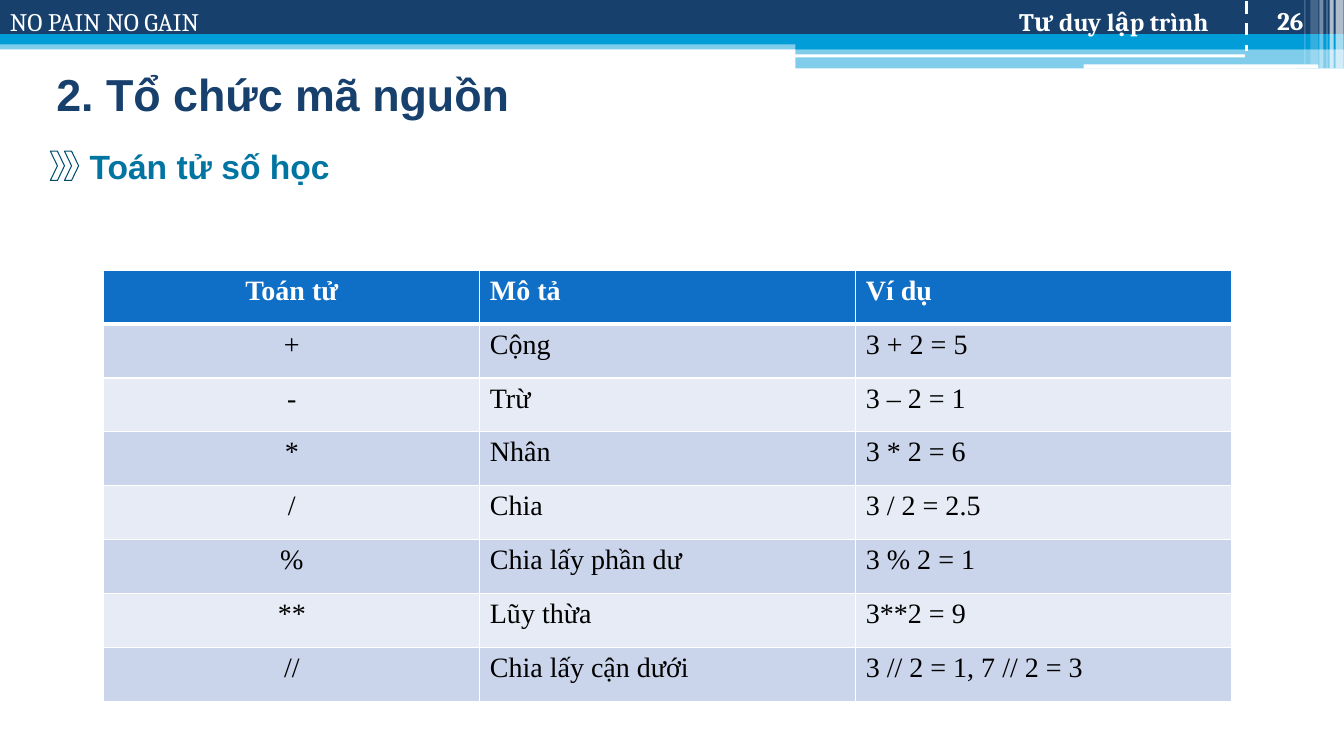
import dataclasses

import lxml.etree
import pptx
import pptx.dml.color
import pptx.enum.dml
import pptx.enum.shapes
import pptx.enum.text
import pptx.oxml.ns
import pptx.util

SHAPE = pptx.enum.shapes.MSO_SHAPE
ANCHOR = pptx.enum.text.MSO_ANCHOR
ALIGN = pptx.enum.text.PP_ALIGN
GRID = pptx.util.Inches(0.1)
COLS, ROWS = 133.33, 75


@dataclasses.dataclass(frozen=True)
class Theme:
    """Colours, fonts and type sizes of the slide."""
    navy: str = "17406D"
    cyan: str = "009DD9"
    white: str = "FFFFFF"
    black: str = "000000"
    teal: str = "0075A2"
    outline: str = "004E6C"
    head: str = "0F6FC6"
    bands: tuple = ("CAD4EA", "E6EBF5")
    header_font: str = "Cambria"
    title_font: str = "Arial"
    table_font: str = "Times New Roman"
    header_size: int = 18
    title_size: int = 32
    sub_size: int = 24
    table_size: int = 20


T = Theme()


@dataclasses.dataclass(frozen=True)
class Box:
    """An area measured in grid columns and rows."""
    x: float
    y: float
    w: float
    h: float

    def inner(self, x, y, w, h):
        """Return a box placed relative to this one."""
        return Box(self.x + x, self.y + y, w, h)

    def emu(self):
        """Return left, top, width and height in slide units."""
        return [int(v * GRID) for v in (self.x, self.y, self.w, self.h)]


def rgb(color):
    """Return a colour object for a hex string."""
    return pptx.dml.color.RGBColor.from_string(color)


def child(parent, tag, **attrs):
    """Append a drawing element and return it."""
    return lxml.etree.SubElement(parent, pptx.oxml.ns.qn(tag), attrs)


def write(tf, text, color, align=ALIGN.LEFT, **fmt):
    """Write one formatted line into a text frame."""
    p = tf.paragraphs[0]
    p.alignment = align
    r = p.add_run()
    r.text = text
    r.font.color.rgb = rgb(color)
    for name, value in fmt.items():
        setattr(r.font, name, value)


def label(s, box, text, color, frame=None, **fmt):
    """Add a wrapped text box with one line."""
    tf = s.shapes.add_textbox(*box.emu()).text_frame
    for name, value in {"word_wrap": True, **(frame or {})}.items():
        setattr(tf, name, value)
    write(tf, text, color, **fmt)


def block(s, box, fill=None, alpha=100, line=None, kind=SHAPE.RECTANGLE):
    """Add a flat preset shape."""
    sp = s.shapes.add_shape(kind, *box.emu())
    sp.shadow.inherit = False
    if fill:
        sp.fill.solid()
        sp.fill.fore_color.rgb = rgb(fill)
        if alpha < 100:
            clr = sp._element.spPr.find(".//" + pptx.oxml.ns.qn("a:srgbClr"))
            child(clr, "a:alpha", val=str(alpha * 1000))
    else:
        sp.fill.background()
    if line:
        sp.line.color.rgb = rgb(line)
        sp.line.width = pptx.util.Pt(0.75)
    else:
        sp.line.fill.background()


def header(s, box):
    """Draw the banner with its stripes, captions and page number."""
    right = box.w - 78.9
    for x, y, w, h, fill, alpha in (
            (0, 4, box.w, 0.9, T.cyan, 50), (0, 0, box.w, 3.4, T.navy, 100),
            (0, 3.4, box.w, 1, T.cyan, 100), (78.9, 3.9, right, 1, T.cyan, 100),
            (78.9, 4.8, right, 2, T.cyan, 50)):
        block(s, box.inner(x, y, w, h), fill, alpha)
    for x, y, w, h in ((78.8, 5.4, 44.7, 0.3), (107.5, 6.4, 23.3, 0.4)):
        block(s, box.inner(x, y, w, h), T.white, kind=SHAPE.ROUNDED_RECTANGLE)
    for x, w, h, alpha in ((132.5, 0.8, 6.8, 65), (131.9, 0.4, 6.8, 65),
                           (131.6, 0.1, 6.8, 60), (130.9, 0.4, 6.8, 40),
                           (130, 0.8, 6.4, 20), (129.4, 0.1, 6.4, 30)):
        block(s, box.inner(x, 0, w, h), T.white, alpha)
    fmt = {"name": T.header_font, "size": pptx.util.Pt(T.header_size)}
    bold = {**fmt, "bold": True, "align": ALIGN.RIGHT}
    bottom = {"vertical_anchor": ANCHOR.BOTTOM}
    label(s, box.inner(0, 0.1, 35.6, 4), "NO PAIN NO GAIN", T.white, **fmt)
    label(s, box.inner(57.8, 0.1, 64.8, 4), "Tư duy lập trình", T.white,
          {**bottom, "margin_right": int(2.7 * GRID)}, **bold)
    label(s, box.inner(122.2, 0, 8.1, 4), "26", T.white, bottom, **bold)
    x, y, w, h = box.inner(123.7, 0.1, 0, 5).emu()
    ln = s.shapes.add_connector(pptx.enum.shapes.MSO_CONNECTOR.STRAIGHT, x, y, x, y + h)
    ln.line.color.rgb = rgb(T.white)
    ln.line.width = pptx.util.Pt(2.25)
    ln.line.dash_style = pptx.enum.dml.MSO_LINE.DASH
    child(ln._element.spPr, "a:effectLst")


def title(s, box):
    """Write the slide title."""
    label(s, box, "2. Tổ chức mã nguồn", T.navy, {"vertical_anchor": ANCHOR.MIDDLE},
          name=T.title_font, size=pptx.util.Pt(T.title_size), bold=True)


def subheading(s, box):
    """Draw a double chevron followed by the section name."""
    for i in range(2):
        block(s, box.inner(1.4 * i, 1.5, 1.4, 2.9), line=T.outline, kind=SHAPE.CHEVRON)
    margins = {"margin_" + side: GRID for side in ("left", "top", "right", "bottom")}
    label(s, box.inner(2.9, 0, box.w - 2.9, box.h), "Toán tử số học", T.teal, margins,
          name=T.title_font, size=pptx.util.Pt(T.sub_size), bold=True)


def border(cell, widths):
    """Give a cell white borders, in points for left, right, top and bottom."""
    tcPr = cell._tc.get_or_add_tcPr()
    for i, (side, width) in enumerate(zip("LRTB", widths)):
        ln = child(tcPr, "a:ln" + side, w=str(int(pptx.util.Pt(width))))
        child(child(ln, "a:solidFill"), "a:srgbClr", val=T.white)
        tcPr.insert(i, ln)


def operator_table(s, box):
    """Build the table of arithmetic operators."""
    rows = (("Toán tử", "Mô tả", "Ví dụ"),
            ("+", "Cộng", "3 + 2 = 5"),
            ("-", "Trừ", "3 – 2 = 1"),
            ("*", "Nhân", "3 * 2 = 6"),
            ("/", "Chia", "3 / 2 = 2.5"),
            ("%", "Chia lấy phần dư", "3 % 2 = 1"),
            ("**", "Lũy thừa", "3**2 = 9"),
            ("//", "Chia lấy cận dưới", "3 // 2 = 1, 7 // 2 = 3"))
    tbl = s.shapes.add_table(len(rows), len(rows[0]), *box.emu()).table
    for i, row in enumerate(rows):
        top = i == 0
        for j, text in enumerate(row):
            cell = tbl.cell(i, j)
            cell.fill.solid()
            cell.fill.fore_color.rgb = rgb(T.head if top else T.bands[(i - 1) % 2])
            border(cell, (1, 1, 3 if i == 1 else 1, 3 if top else 1))
            write(cell.text_frame, text, T.white if top else T.black,
                  ALIGN.CENTER if j == 0 else ALIGN.LEFT, name=T.table_font,
                  size=pptx.util.Pt(T.table_size), bold=top)


def main():
    """Build and save the slide."""
    prs = pptx.Presentation()
    prs.slide_width, prs.slide_height = int(COLS * GRID), ROWS * GRID
    s = prs.slides.add_slide(prs.slide_layouts[6])
    header(s, Box(0, 0, COLS, 6.8))
    title(s, Box(4.6, 5, 117.8, 8.6))
    subheading(s, Box(5, 13.5, 57.5, 4.9))
    operator_table(s, Box(10.3, 26.8, 111.9, 42.8))
    prs.save("out.pptx")


if __name__ == "__main__":
    main()
